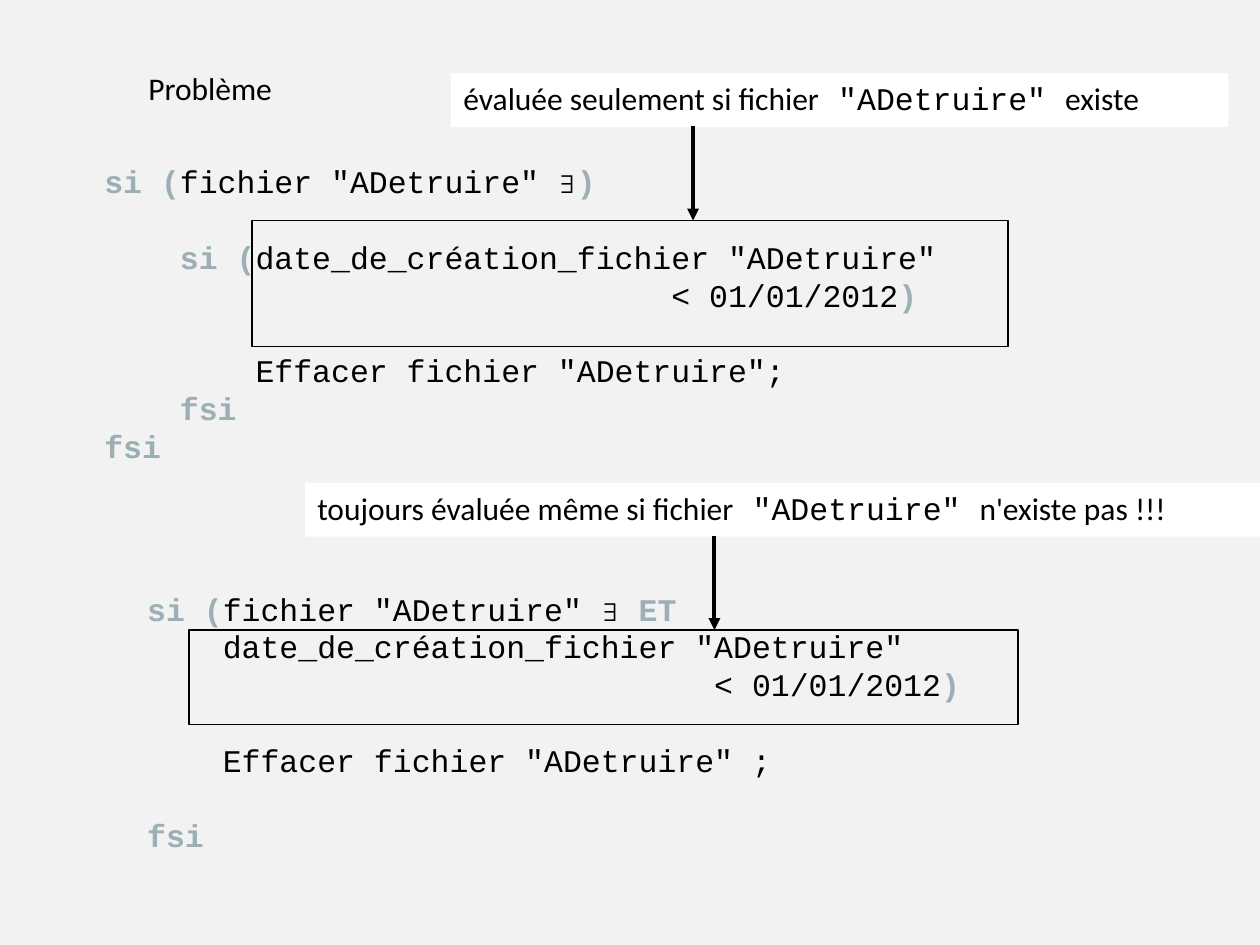
from lxml import etree
from pptx import Presentation
from pptx.dml.color import RGBColor
from pptx.enum.shapes import MSO_CONNECTOR, MSO_SHAPE
from pptx.enum.text import MSO_ANCHOR, PP_ALIGN
from pptx.oxml.ns import qn
from pptx.util import Inches, Pt

RECT, STRAIGHT = MSO_SHAPE.RECTANGLE, MSO_CONNECTOR.STRAIGHT
LEFT, TOP = PP_ALIGN.LEFT, MSO_ANCHOR.TOP
SANS, MONO = "Calibri", "Courier New"
BLACK, KEYWORD, WHITE, GREY = "000000", "9BAFB5", "FFFFFF", "F2F2F2"
SIZE, LINE = 18, 21.6

PLAIN, CODE, KEY = (SANS, BLACK, False), (MONO, BLACK, False), (MONO, KEYWORD, True)
FILE = ' "ADetruire" '
DATE = [("                              < 01/01/2012", CODE), (")", KEY)]

# Each paragraph: blank lines before it, then its runs
TITLE = [(0, [("Problème", PLAIN)])]
NESTED = [
    (0, [("si (", KEY), ('fichier "ADetruire" ∃', CODE), (")", KEY)]),
    (1, [("    si (", KEY), ('date_de_création_fichier "ADetruire"', CODE)]),
    (0, DATE),
    (1, [('        Effacer fichier "ADetruire";', CODE)]),
    (0, [("    fsi", KEY)]),
    (0, [("fsi", KEY)]),
]
COMBINED = [
    (0, [("si (", KEY), ('fichier "ADetruire" ∃', CODE), (" ET", KEY)]),
    (0, [('    date_de_création_fichier "ADetruire"', CODE)]),
    (0, DATE),
    (1, [('    Effacer fichier "ADetruire" ;', CODE)]),
    (1, [("fsi", KEY)]),
]
TEXTS = [
    (TITLE, (1.08, 0.5, 1.26, 0.43)),
    (NESTED, (0.73, 1.24, 7.7, 2.77)),
    (COMBINED, (1.07, 4.63, 7.37, 2.43)),
]
CALLOUTS = [
    {"words": ("évaluée seulement si fichier", "existe"),
     "label": (3.58, 0.58, 6.17, 0.43), "frame": (2, 1.75, 6, 1), "arrow_x": 5.5},
    {"words": ("toujours évaluée même si fichier", "n'existe pas !!!"),
     "label": (2.42, 3.83, 7.67, 0.43), "frame": (1.5, 5, 6.58, 0.75), "arrow_x": 5.67},
]
ARROW_LENGTH = 0.75


def rgb(value):
    """Return the colour of a hex string."""
    return RGBColor.from_string(value)


def write(s, paragraphs):
    """Fill a shape with styled paragraphs."""
    tf = s.text_frame
    tf.word_wrap, tf.vertical_anchor = True, TOP
    for i, (blanks, runs) in enumerate(paragraphs):
        p = tf.paragraphs[0] if i == 0 else tf.add_paragraph()
        p.alignment = LEFT
        if runs[0][1][0] == MONO:
            p.line_spacing = Pt(LINE)
        if blanks:
            p.space_before = Pt(blanks * LINE)
        for text, (font, color, bold) in runs:
            r = p.add_run()
            r.text = text
            r.font.name, r.font.size, r.font.bold = font, Pt(SIZE), bold
            r.font.color.rgb = rgb(color)


def add_rect(slide, box, fill=None, line=None):
    """Add a rectangle with an optional fill and outline."""
    s = slide.shapes.add_shape(RECT, *map(Inches, box))
    s.shadow.inherit = False
    if fill:
        s.fill.solid()
        s.fill.fore_color.rgb = rgb(fill)
    else:
        s.fill.background()
    if line:
        s.line.color.rgb, s.line.width = rgb(line), Pt(1)
    else:
        s.line.fill.background()
    return s


def add_arrow(slide, x, top, bottom):
    """Add a vertical arrow pointing down."""
    s = slide.shapes.add_connector(STRAIGHT, *map(Inches, (x, top, x, bottom)))
    s.line.color.rgb, s.line.width = rgb(BLACK), Pt(2.25)
    etree.SubElement(s.line._get_or_add_ln(), qn("a:tailEnd"), type="triangle")
    etree.SubElement(s._element.spPr, qn("a:effectLst"))


def main():
    """Build the slide and save it."""
    prs = Presentation()
    prs.slide_width, prs.slide_height = Inches(10), Inches(7.5)
    slide = prs.slides.add_slide(prs.slide_layouts[6])
    slide.background.fill.solid()
    slide.background.fill.fore_color.rgb = rgb(GREY)
    for paragraphs, box in TEXTS:
        write(slide.shapes.add_textbox(*map(Inches, box)), paragraphs)
    for callout in CALLOUTS:
        before, after = callout["words"]
        label = add_rect(slide, callout["label"], fill=WHITE)
        write(label, [(0, [(before, PLAIN), (FILE, CODE), (after, PLAIN)])])
        add_rect(slide, callout["frame"], line=BLACK)
        target = callout["frame"][1]
        add_arrow(slide, callout["arrow_x"], target - ARROW_LENGTH, target)
    prs.save("out.pptx")


if __name__ == "__main__":
    main()
